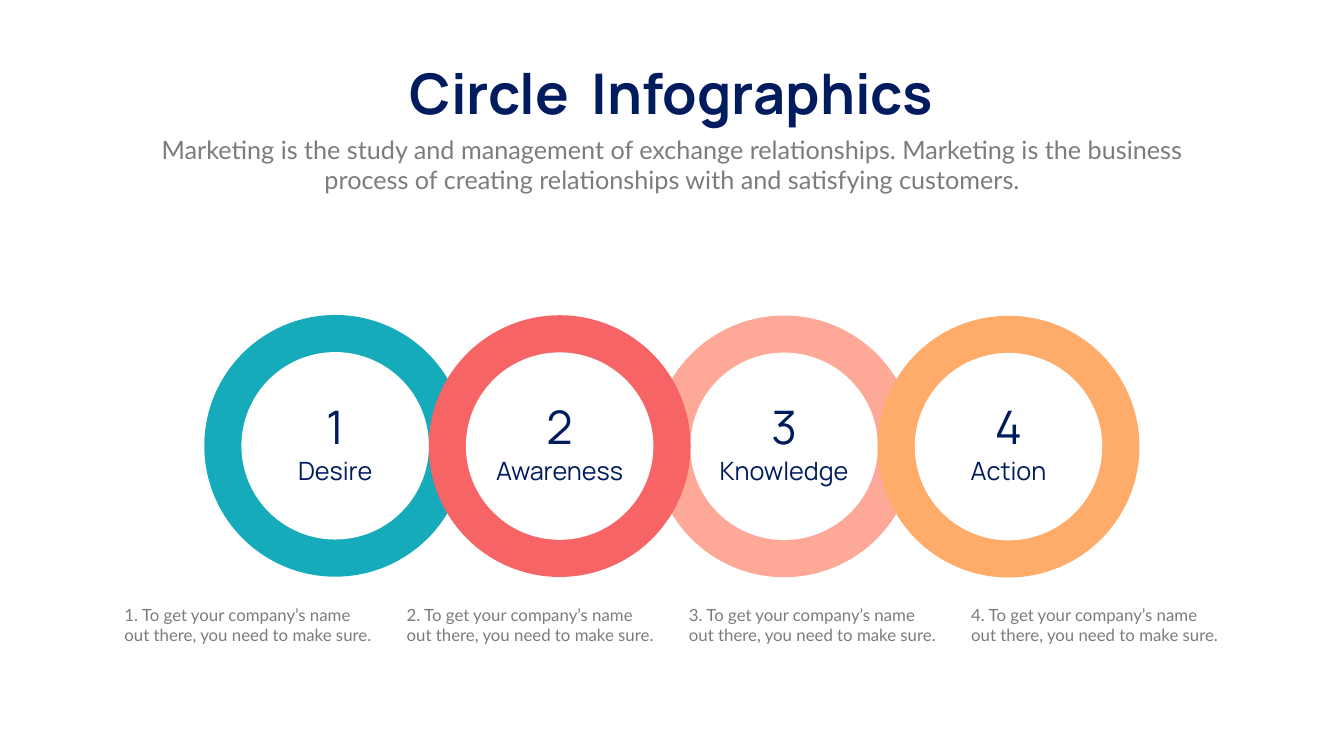
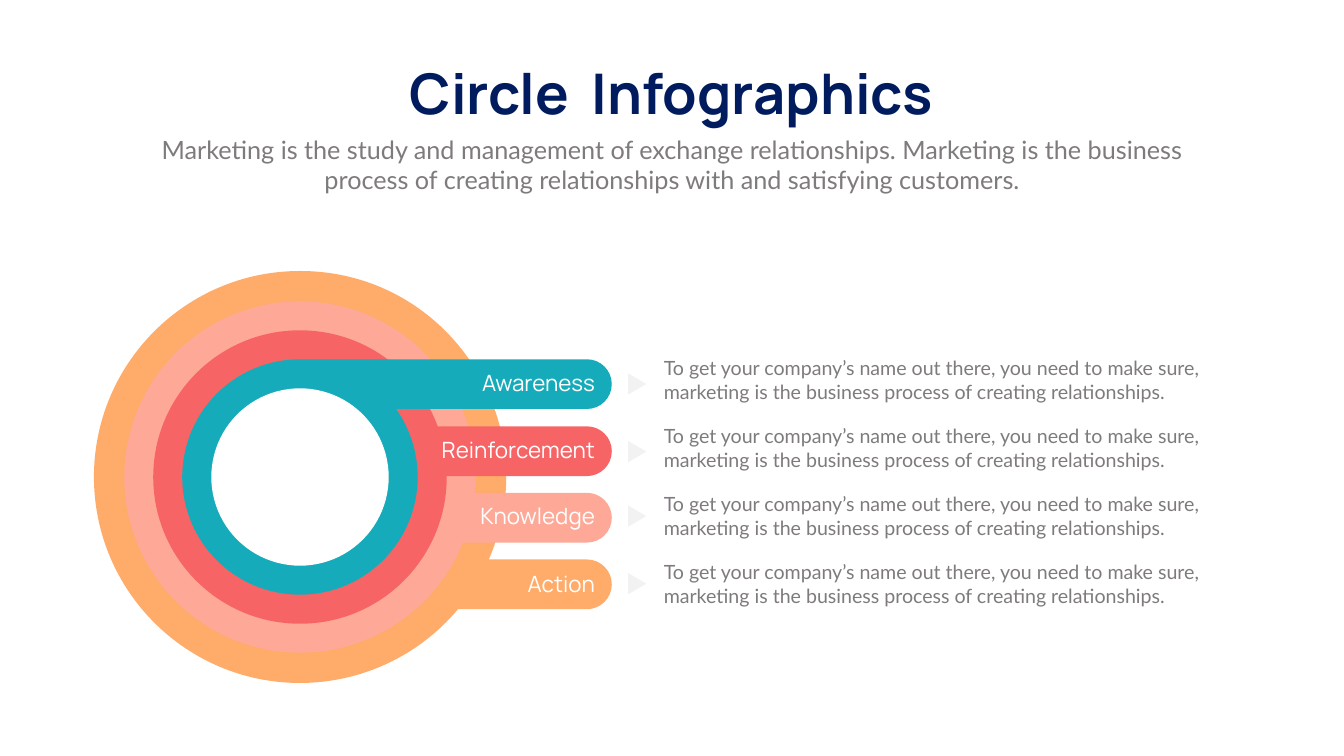
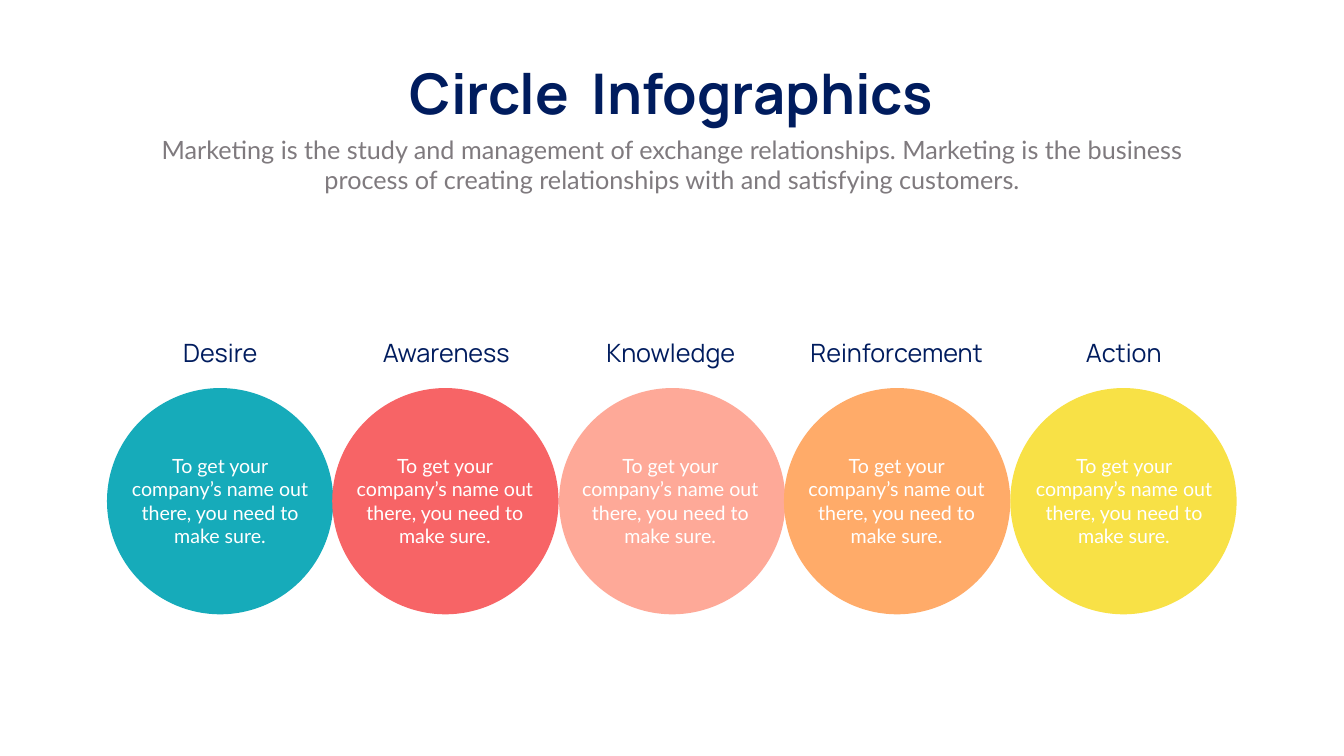
"""Build three circle infographic slides on a square grid, 100 columns wide."""
import dataclasses
import math
import typing

import pptx
import pptx.dml.color
import pptx.enum.shapes
import pptx.enum.text
import pptx.oxml.ns
import pptx.util
import lxml.etree

WIDTH, HEIGHT = 26.66, 15
CELL = WIDTH / 100
HUES = {
    "navy": "001C5E", "gray": "7F7A7E", "white": "FFFFFF", "pale": "F2F2F2",
    "teal": "16ABBA", "red": "F76466", "pink": "FEA998", "orange": "FFAB69",
    "yellow": "F8E146",
}
ALIGN = pptx.enum.text.PP_ALIGN
SHAPE = pptx.enum.shapes.MSO_SHAPE
QUARTER = math.pi / 2
LEAD = ("Marketing is the study and management of exchange relationships. "
        "Marketing is the business process of creating relationships with "
        "and satisfying customers.")
PITCH = "To get your company’s name out there, you need to make sure"
Point = typing.Tuple[float, float]


@dataclasses.dataclass(frozen=True)
class Style:
    size: int
    font: str
    hue: str
    align: typing.Any = ALIGN.CENTER
    bold: bool = False
    wrap: bool = True


@dataclasses.dataclass(frozen=True)
class Box:
    left: float
    top: float
    width: float
    height: float


@dataclasses.dataclass(frozen=True)
class Bend:
    """A curve to its end, or a straight line if it has no handles."""
    end: Point
    handles: typing.Tuple[Point, ...] = ()


@dataclasses.dataclass(frozen=True)
class Ring:
    name: str
    hue: str


@dataclasses.dataclass(frozen=True)
class Tab:
    name: str
    hue: str
    radius: float
    top: float
    text: float
    mark: float
    span: float = 14.52


@dataclasses.dataclass(frozen=True)
class Disc:
    name: str
    hue: str
    mid: float
    label: float
    body: float
    span: float = 12.23


TITLE = Style(80, "Manrope", "navy", bold=True, wrap=False)
INTRO = Style(36, "Lato", "gray")
LABEL = Style(36, "Manrope", "navy")
DIGIT = Style(66, "Manrope", "navy")
NOTE = Style(24, "Lato", "gray", ALIGN.LEFT)
SIGN = Style(32, "Manrope", "white", ALIGN.RIGHT)
BODY = Style(28, "Lato", "gray", ALIGN.LEFT)
INNER = Style(28, "Lato", "white")

CHAIN = [Ring("Desire", "teal"), Ring("Awareness", "red"),
         Ring("Knowledge", "pink"), Ring("Action", "orange")]
TABS = [Tab("Awareness", "teal", 8.76, 26.74, 27.31, 28.58, 12.23),
        Tab("Reinforcement", "red", 10.92, 31.73, 32.3, 33.61),
        Tab("Knowledge", "pink", 13.07, 36.68, 37.17, 38.41),
        Tab("Action", "orange", 15.33, 41.64, 42.24, 43.44)]
DISCS = [Disc("Desire", "teal", 16.38, 16.39, 16.37),
         Disc("Awareness", "red", 33.14, 33.2, 33.1),
         Disc("Knowledge", "pink", 50.02, 49.91, 49.87, 14.97),
         Disc("Reinforcement", "orange", 66.75, 66.71, 66.71, 14.97),
         Disc("Action", "yellow", 83.59, 83.61, 83.63)]


def grid(cells: float) -> int:
    return pptx.util.Inches(cells * CELL)


def around(x: float, top: float, width: float, height: float) -> Box:
    return Box(x - width / 2, top, width, height)


def place(box: Box) -> typing.List[int]:
    return [grid(part) for part in dataclasses.astuple(box)]


def color(hue: str) -> pptx.dml.color.RGBColor:
    return pptx.dml.color.RGBColor.from_string(HUES[hue])


def paint(shape: typing.Any, hue: str) -> None:
    shape.shadow.inherit = False
    shape.fill.solid()
    shape.fill.fore_color.rgb = color(hue)
    shape.line.fill.background()


def write(slide: typing.Any, text: str, box: Box, style: Style) -> None:
    frame = slide.shapes.add_textbox(*place(box)).text_frame
    frame.word_wrap = style.wrap
    frame.auto_size = pptx.enum.text.MSO_AUTO_SIZE.SHAPE_TO_FIT_TEXT
    frame.text = text
    for para in frame.paragraphs:
        para.alignment = style.align
        for run in para.runs:
            run.font.size = pptx.util.Pt(style.size)
            run.font.name = style.font
            run.font.bold = style.bold
            run.font.color.rgb = color(style.hue)


def disc(slide: typing.Any, x: float, y: float, wide: float, hue: str) -> None:
    box = around(x, y - wide / 2, wide, wide)
    paint(slide.shapes.add_shape(SHAPE.OVAL, *place(box)), hue)


def arc(x: float, y: float, radius: float,
        start: float, end: float) -> typing.List[Bend]:
    """Return a line to the start and one curve for each quarter touched."""
    def spot(turn: float, pull: float = 0) -> Point:
        return (x + radius * (math.cos(turn) - pull * math.sin(turn)),
                y + radius * (math.sin(turn) + pull * math.cos(turn)))

    inner = [QUARTER * i for i in range(-1, 4)
             if start + 0.01 < QUARTER * i < end - 0.01]
    cuts = [start, *inner, end]
    bends = [Bend(spot(start))]
    for here, there in zip(cuts, cuts[1:]):
        pull = 4 / 3 * math.tan((there - here) / 4)
        bends.append(Bend(spot(there), (spot(here, pull), spot(there, -pull))))
    return bends


def outline(slide: typing.Any, bends: typing.List[Bend], hue: str) -> None:
    ends = [(grid(bend.end[0]), grid(bend.end[1])) for bend in bends]
    maker = slide.shapes.build_freeform(*ends[0], scale=1.0)
    maker.add_line_segments(ends[1:], close=True)
    shape = maker.convert_to_shape()
    name = pptx.oxml.ns.qn
    lines = list(shape.element.iter(name("a:lnTo")))
    for line, bend in zip(lines, bends[1:]):
        if bend.handles:
            line.tag = name("a:cubicBezTo")
        for i, (x, y) in enumerate(bend.handles):
            point = lxml.etree.Element(name("a:pt"))
            point.set("x", str(grid(x) - shape.left))
            point.set("y", str(grid(y) - shape.top))
            line.insert(i, point)
    paint(shape, hue)


def tongue(slide: typing.Any, x: float, y: float, tab: Tab) -> None:
    height, right = 3.7, 45.52
    cap = height / 2
    upper, lower = (math.asin(max(-1, (edge - y) / tab.radius))
                    for edge in (tab.top, tab.top + height))
    bends = arc(x, y, tab.radius, lower, upper + 4 * QUARTER)
    bends += arc(right - cap, tab.top + cap, cap, -QUARTER, QUARTER)
    outline(slide, bends, tab.hue)


def start(deck: typing.Any) -> typing.Any:
    slide = deck.slides.add_slide(deck.slide_layouts[6])
    write(slide, "Circle  Infographics", Box(28.58, 4.2, 42.8, 5.44), TITLE)
    write(slide, LEAD, Box(10.95, 9.79, 78.1, 4.91), INTRO)
    return slide


def draw_chain(slide: typing.Any) -> None:
    mids = [24.94 + 16.7 * i for i in range(len(CHAIN))]
    for i in (2, 0, 1, 3):
        y = 33.18 + 0.02 * i
        disc(slide, mids[i], y, 19.48, CHAIN[i].hue)
        disc(slide, mids[i], y, 13.95, "white")
    for i, (ring, x) in enumerate(zip(CHAIN, mids)):
        write(slide, f"{i + 1}. {PITCH}.",
              Box(8.89 + 21 * i, 44.82, 19.24, 3.41), NOTE)
        write(slide, ring.name, around(x, 33.72, 12.23, 2.66), LABEL)
        write(slide, str(i + 1), around(x, 29.44, 12.23, 4.54), DIGIT)


def draw_tabs(slide: typing.Any) -> None:
    x, y = 22.32, 35.5
    for tab in reversed(TABS):
        tongue(slide, x, y, tab)
    disc(slide, x, y, 13.2, "white")
    for i, tab in enumerate(TABS):
        write(slide, tab.name,
              Box(44.64 - tab.span, tab.text, tab.span, 2.4), SIGN)
        write(slide, f"{PITCH}, marketing is the business process of "
              "creating relationships.",
              Box(49.02, 26.33 + 5.06 * i, 43.96, 3.9), BODY)
        wide, high = 1.58, 1.35
        mark = slide.shapes.add_shape(
            SHAPE.ISOSCELES_TRIANGLE,
            *place(around(47.41, tab.mark - high / 2, wide, high)))
        mark.rotation = 90
        paint(mark, "pale")


def draw_discs(slide: typing.Any) -> None:
    for item in DISCS:
        disc(slide, item.mid, 37.3, 16.84, item.hue)
    for item in DISCS:
        write(slide, item.name,
              around(item.label, 24.91, item.span, 2.66), LABEL)
        write(slide, f"{PITCH}.",
              around(item.body, 33.57, 14.44, 7.46), INNER)


def main() -> None:
    deck = pptx.Presentation()
    deck.slide_width = pptx.util.Inches(WIDTH)
    deck.slide_height = pptx.util.Inches(HEIGHT)
    for draw in (draw_chain, draw_tabs, draw_discs):
        draw(start(deck))
    deck.save("out.pptx")


if __name__ == "__main__":
    main()
